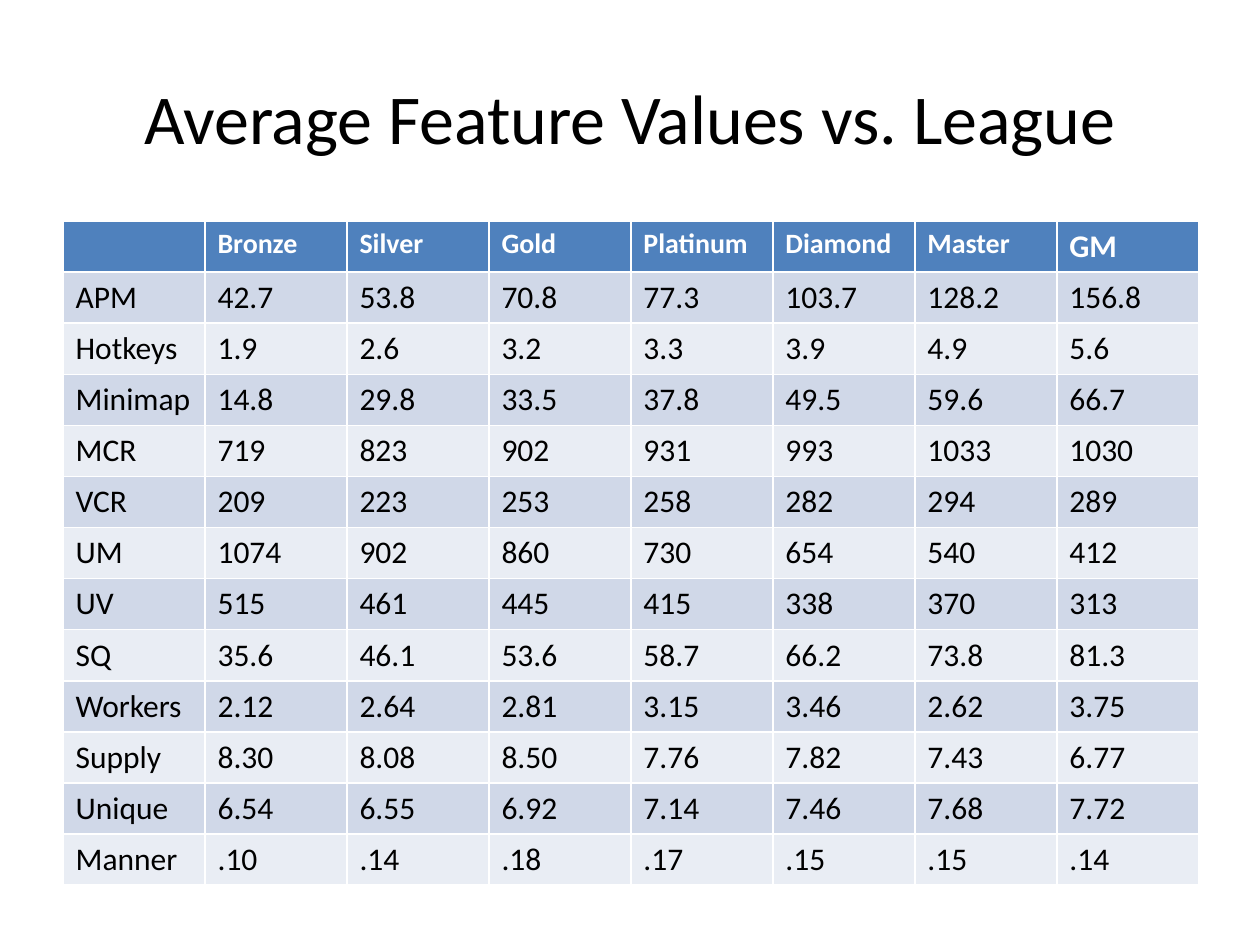
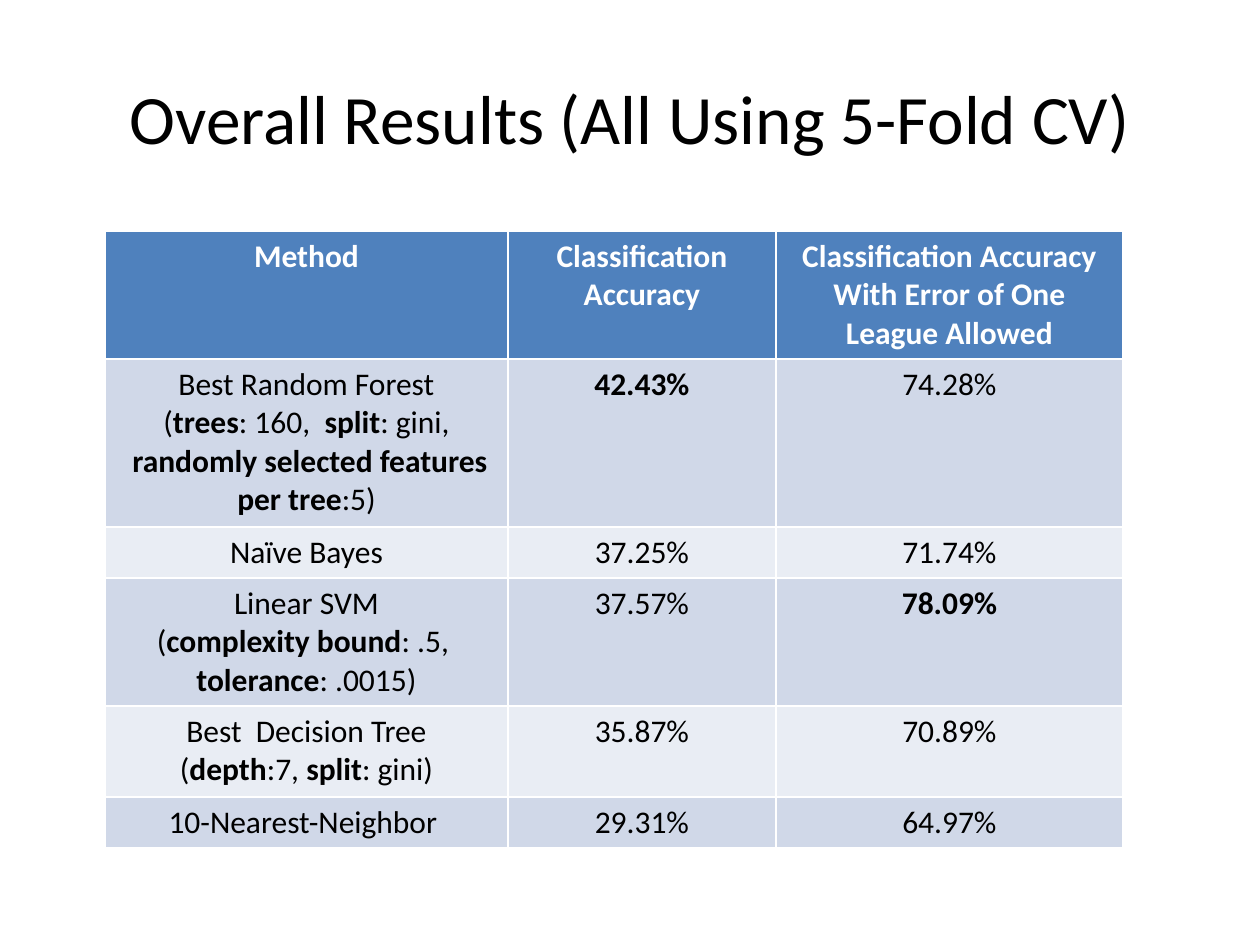
"""Build two slides that compare player leagues and classifier accuracy."""
from pptx import Presentation
from pptx import util as u
from pptx.dml.color import RGBColor
from pptx.enum import text

PX = 914400 / 126
FONT = "Calibri"
BLACK = RGBColor(0x00, 0x00, 0x00)
WHITE = RGBColor(0xFF, 0xFF, 0xFF)
HEADER = RGBColor(0x4F, 0x81, 0xBD)
BANDS = [RGBColor(0xE9, 0xED, 0xF4), RGBColor(0xD0, 0xD8, 0xE8)]
CENTER = text.PP_ALIGN.CENTER

LEAGUES = [line.split() for line in """\
Bronze Silver Gold Platinum Diamond Master GM
APM 42.7 53.8 70.8 77.3 103.7 128.2 156.8
Hotkeys 1.9 2.6 3.2 3.3 3.9 4.9 5.6
Minimap 14.8 29.8 33.5 37.8 49.5 59.6 66.7
MCR 719 823 902 931 993 1033 1030
VCR 209 223 253 258 282 294 289
UM 1074 902 860 730 654 540 412
UV 515 461 445 415 338 370 313
SQ 35.6 46.1 53.6 58.7 66.2 73.8 81.3
Workers 2.12 2.64 2.81 3.15 3.46 2.62 3.75
Supply 8.30 8.08 8.50 7.76 7.82 7.43 6.77
Unique 6.54 6.55 6.92 7.14 7.46 7.68 7.72
Manner .10 .14 .18 .17 .15 .15 .14""".splitlines()]
LEAGUES[0].insert(0, "")

RESULTS = [
    ["Method", "Classification Accuracy",
     "Classification Accuracy With Error of One League Allowed"],
    ["Best Random Forest\n(*trees*: 160,  *split*: gini,\n"
     " *randomly selected features per tree*:5)", "*42.43%*", "74.28%"],
    ["Naïve Bayes", "37.25%", "71.74%"],
    ["Linear SVM\n(*complexity bound*: .5, \n*tolerance*: .0015)",
     "37.57%", "*78.09%*"],
    ["Best  Decision Tree\n(*depth*:7, *split*: gini)", "35.87%", "70.89%"],
    ["10-Nearest-Neighbor ", "29.31%", "64.97%"],
]

SLIDES = [
    ("Average Feature Values vs. League", 40, LEAGUES, (63, 221),
     [142] * 8, [51] * 13, None),
    ("Overall Results (All Using 5-Fold CV)", 39.6, RESULTS, (105, 231),
     [403, 268, 347], [127, 168, 51, 128, 91, 51], CENTER),
]


def px(n):
    return u.Emu(round(n * PX))


def add_run(p, words, size, color, bold):
    r = p.add_run()
    r.text = words
    r.font.name = FONT
    r.font.size = u.Pt(size)
    r.font.color.rgb = color
    r.font.bold = bold


prs = Presentation()
prs.slide_width, prs.slide_height = px(1260), px(945)

for title, title_size, rows, (left, top), widths, heights, align in SLIDES:
    s = prs.slides.add_slide(prs.slide_layouts[5])
    sp = s.shapes.title
    sp.left, sp.top, sp.width, sp.height = px(63), px(38), px(1134), px(158)
    tf = sp.text_frame
    tf.vertical_anchor = text.MSO_ANCHOR.MIDDLE
    tf.paragraphs[0].alignment = CENTER
    add_run(tf.paragraphs[0], title, title_size, BLACK, False)

    table = s.shapes.add_table(len(rows), len(widths), px(left), px(top),
                               px(sum(widths)), px(sum(heights))).table
    for col, width in zip(table.columns, widths):
        col.width = px(width)
    for i, (row, height) in enumerate(zip(rows, heights)):
        table.rows[i].height = px(height)
        head = i == 0
        for j, entry in enumerate(row):
            cell = table.cell(i, j)
            cell.fill.solid()
            cell.fill.fore_color.rgb = HEADER if head else BANDS[i % 2]
            small = head and rows is LEAGUES and entry != "GM"
            tf = cell.text_frame
            for k, line in enumerate(entry.split("\n")):
                p = tf.add_paragraph() if k else tf.paragraphs[0]
                p.alignment = align
                for n, words in enumerate(line.split("*")):
                    if words:
                        add_run(p, words, 16 if small else 18,
                                WHITE if head else BLACK, head or n % 2 == 1)

prs.save("out.pptx")
